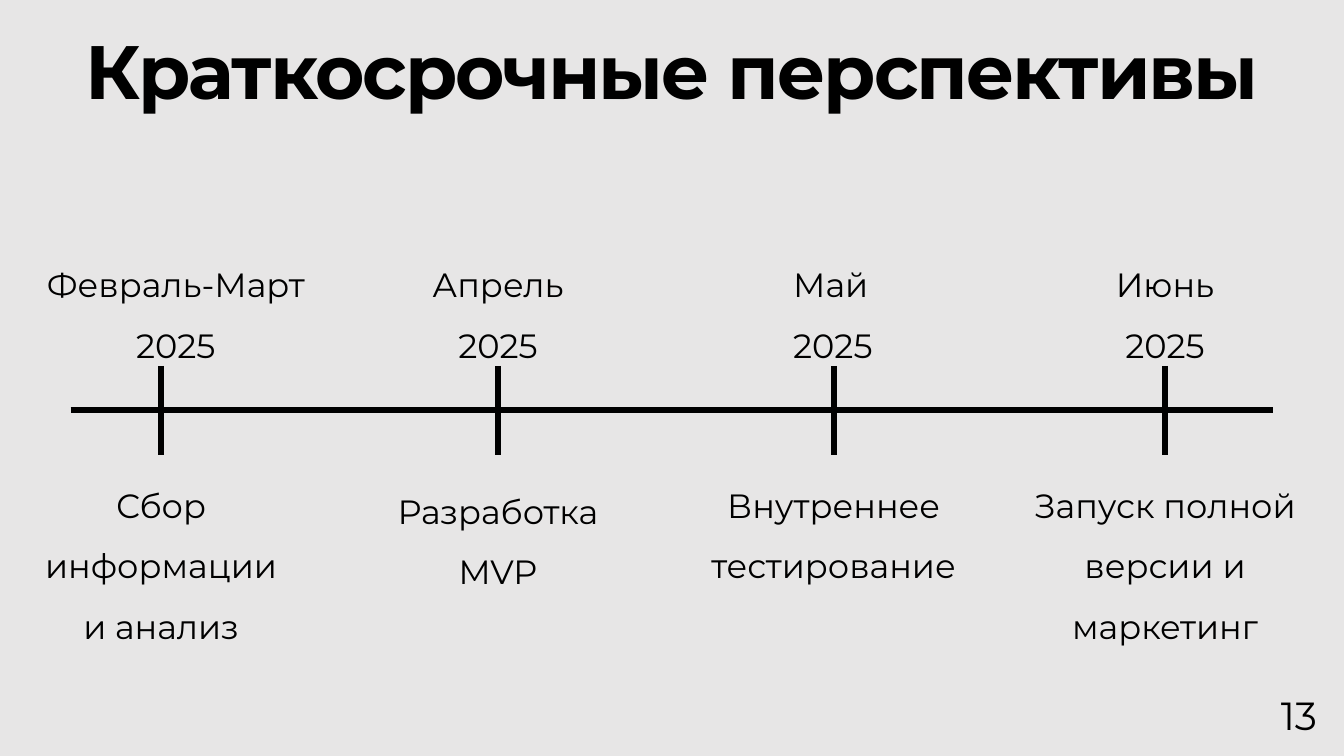
from dataclasses import dataclass

from lxml import etree
from pptx import Presentation
from pptx import util as u
from pptx.dml import color
from pptx.enum import shapes, text
from pptx.oxml import ns

COLORS = {"background": "E7E6E6", "ink": "000000"}
FONT = "Montserrat"
CENTER, LEFT = text.PP_ALIGN.CENTER, text.PP_ALIGN.LEFT


@dataclass
class Milestone:
    """Lengths in cm, tick measured from the left end of the axis."""
    tick: float
    date: str
    date_width: float
    task: str
    task_width: float
    task_lines: int
    date_shift: float = 0
    task_drop: float = 0
    date_align: text.PP_ALIGN = CENTER


# "\n" starts a paragraph, "\v" breaks the line
MILESTONES = [
    Milestone(2.28, "Февраль-Март\n2025", 7.34,
              "Сбор информации и анализ", 6.55, 3, date_shift=0.37),
    Milestone(10.77, "Апрель\v2025", 4.93,
              "Разработка\vMVP", 5.77, 2, task_drop=0.15),
    Milestone(19.23, "Май\n2025", 2.54,
              "Внутреннее тестирование", 6.86, 2, date_align=LEFT),
    Milestone(27.58, "Июнь\n2025", 3.58,
              "Запуск полной версии и маркетинг", 7.62, 3),
]


def rgb(name):
    return color.RGBColor.from_string(COLORS[name])


def style_paragraph(paragraph, size, align, spacing, bold=False):
    paragraph.alignment = align
    paragraph.line_spacing = spacing
    font = paragraph.font
    font.name, font.size, font.bold = FONT, u.Pt(size), bold
    font.color.rgb = rgb("ink")


def add_text(slide, left, top, width, height, content, size=24,
             align=CENTER, spacing=1.5):
    shape = slide.shapes.add_textbox(u.Cm(left), u.Cm(top), u.Cm(width), u.Cm(height))
    frame = shape.text_frame
    frame.word_wrap = True
    frame.text = content
    for paragraph in frame.paragraphs:
        style_paragraph(paragraph, size, align, spacing)


def add_line(slide, x1, y1, x2, y2):
    line = slide.shapes.add_connector(
        shapes.MSO_CONNECTOR.STRAIGHT, u.Cm(x1), u.Cm(y1), u.Cm(x2), u.Cm(y2))
    line.line.color.rgb = rgb("ink")
    line.line.width = u.Pt(4.5)
    etree.SubElement(line.element.spPr, ns.qn("a:effectLst"))


def fill_title(slide, left, top, width, height):
    title = slide.shapes.title
    title.left, title.top = u.Cm(left), u.Cm(top)
    title.width, title.height = u.Cm(width), u.Cm(height)
    frame = title.text_frame
    frame.text = "Краткосрочные перспективы"
    frame.word_wrap = True
    frame.auto_size = text.MSO_AUTO_SIZE.NONE
    frame.vertical_anchor = text.MSO_ANCHOR.BOTTOM
    paragraph = frame.paragraphs[0]
    style_paragraph(paragraph, 54, CENTER, 0.9, bold=True)
    # Tighten the letters by 1.5 pt
    paragraph.runs[0].font._element.set("spc", "-150")


def add_timeline(slide, left, top, width):
    date_height, tick_height, line_height, padding = 3.15, 2.24, 1.55, 0.05
    tick_top = top + date_height + padding
    tick_bottom = tick_top + tick_height
    axis = (tick_top + tick_bottom) / 2
    add_line(slide, left, axis, left + width, axis)

    for milestone in MILESTONES:
        center = left + milestone.tick
        add_line(slide, center, tick_top, center, tick_bottom)
        # Date above the axis
        add_text(slide, center + milestone.date_shift - milestone.date_width / 2, top,
                 milestone.date_width, date_height, milestone.date,
                 align=milestone.date_align)
        # Task below the axis
        add_text(slide, center - milestone.task_width / 2,
                 tick_bottom + 0.12 + milestone.task_drop, milestone.task_width,
                 milestone.task_lines * line_height + padding, milestone.task)


def main():
    presentation = Presentation()
    presentation.slide_width, presentation.slide_height = u.Cm(33.87), u.Cm(19.05)
    slide = presentation.slides.add_slide(presentation.slide_layouts[0])
    slide.background.fill.solid()
    slide.background.fill.fore_color.rgb = rgb("background")

    # The unused subtitle
    subtitle = slide.placeholders[1].element
    subtitle.getparent().remove(subtitle)

    fill_title(slide, 1.12, -0.89, 31.65, 3.94)
    add_timeline(slide, 1.78, 6.02, 30.3)
    # Page number
    add_text(slide, 32.03, 17.3, 1.8, 1.45, "13", size=28, align=LEFT, spacing=1.0)

    presentation.save("out.pptx")


if __name__ == "__main__":
    main()
